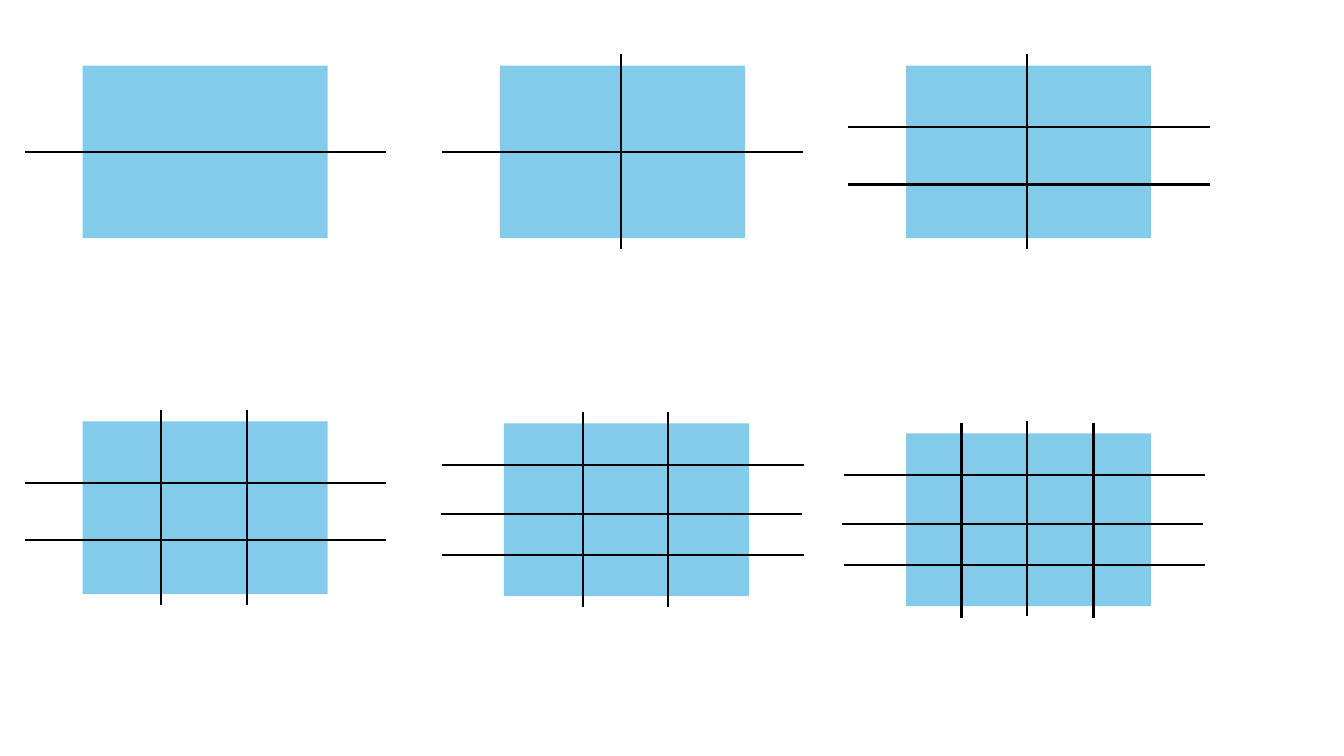
from dataclasses import dataclass

from lxml.etree import SubElement
from pptx import Presentation
from pptx.dml.color import RGBColor
from pptx.enum.shapes import MSO_CONNECTOR as Connector, MSO_SHAPE as Shape
from pptx.oxml.ns import qn
from pptx.slide import Slide
from pptx.util import Pt


@dataclass(frozen=True)
class Theme:
    sheet: RGBColor = RGBColor(0x83, 0xCB, 0xEB)
    cut: RGBColor = RGBColor(0, 0, 0)
    cut_width: float = 1.5


@dataclass(frozen=True)
class Cut:
    offset: float  # distance from the sheet's left or top edge
    shift: float = 0  # slide along the cut's own direction


@dataclass(frozen=True)
class Sheet:
    left: float
    top: float
    rows: tuple[Cut, ...]
    columns: tuple[Cut, ...] = ()
    overhang: float = 41.2


THEME = Theme()
SHEET_WIDTH, SHEET_HEIGHT = 175, 123.4
ROW_CUT_LENGTH, COLUMN_CUT_LENGTH = 258, 138.8
COLUMN_OVERHANG = 7.9

# Ways of dividing a sheet
TWO_ROWS = (Cut(62),)
THREE_ROWS = (Cut(44), Cut(85))
FOUR_ROWS = (Cut(29.8), Cut(64.8, -1), Cut(94.3))
TWO_COLUMNS = (Cut(86.4),)
THREE_COLUMNS = (Cut(56.2), Cut(117.4))
FOUR_COLUMNS = (Cut(39.6, 0.6), Cut(86.4, -0.8), Cut(133.9, 0.6))

SHEETS = (
    Sheet(59, 46.8, TWO_ROWS),
    Sheet(357.1, 46.8, TWO_ROWS, TWO_COLUMNS),
    Sheet(647.2, 46.8, THREE_ROWS, TWO_COLUMNS),
    Sheet(59, 301, THREE_ROWS, THREE_COLUMNS),
    Sheet(360, 302.4, FOUR_ROWS, THREE_COLUMNS, 44),
    Sheet(647.2, 309.6, FOUR_ROWS, FOUR_COLUMNS, 44.6),
)


def draw_cut(slide: Slide, left: float, top: float, width: float, height: float) -> None:
    connector = slide.shapes.add_connector(
        Connector.STRAIGHT, Pt(left), Pt(top), Pt(left + width), Pt(top + height)
    )
    connector.line.color.rgb = THEME.cut
    connector.line.width = Pt(THEME.cut_width)
    SubElement(connector._element.spPr, qn("a:effectLst"))


def draw_sheet(slide: Slide, sheet: Sheet) -> None:
    rectangle = slide.shapes.add_shape(
        Shape.RECTANGLE, Pt(sheet.left), Pt(sheet.top), Pt(SHEET_WIDTH), Pt(SHEET_HEIGHT)
    )
    rectangle.shadow.inherit = False
    rectangle.fill.solid()
    rectangle.fill.fore_color.rgb = THEME.sheet
    rectangle.line.fill.background()

    for cut in sheet.rows:
        left = sheet.left - sheet.overhang + cut.shift
        draw_cut(slide, left, sheet.top + cut.offset, ROW_CUT_LENGTH, 0)
    for cut in sheet.columns:
        top = sheet.top - COLUMN_OVERHANG + cut.shift
        draw_cut(slide, sheet.left + cut.offset, top, 0, COLUMN_CUT_LENGTH)


def main() -> None:
    presentation = Presentation()
    presentation.slide_width, presentation.slide_height = Pt(960), Pt(540)
    blank_layout = presentation.slide_layouts[6]
    slide = presentation.slides.add_slide(blank_layout)
    for sheet in SHEETS:
        draw_sheet(slide, sheet)
    presentation.save("out.pptx")


if __name__ == "__main__":
    main()
